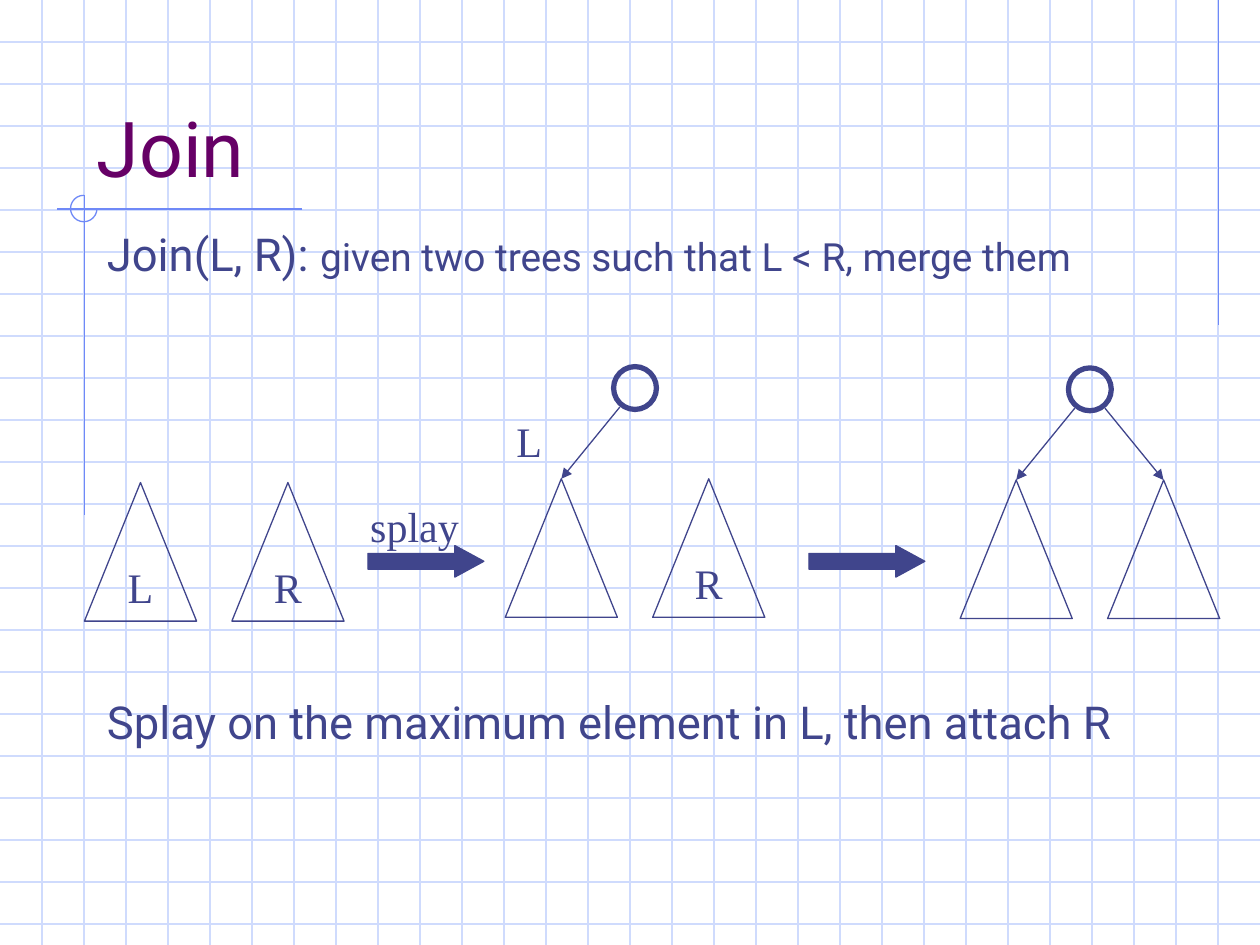
from lxml import etree
from pptx import Presentation
from pptx.dml.color import RGBColor
from pptx.enum.shapes import MSO_CONNECTOR, MSO_SHAPE
from pptx.enum.text import MSO_ANCHOR, PP_ALIGN
from pptx.oxml.ns import qn
from pptx.util import Inches, Pt

STRAIGHT = MSO_CONNECTOR.STRAIGHT
TRIANGLE, OVAL = MSO_SHAPE.ISOSCELES_TRIANGLE, MSO_SHAPE.OVAL
ARROW, ARC = MSO_SHAPE.RIGHT_ARROW, MSO_SHAPE.ARC
TOP, MIDDLE, BOTTOM = MSO_ANCHOR.TOP, MSO_ANCHOR.MIDDLE, MSO_ANCHOR.BOTTOM
CENTER = PP_ALIGN.CENTER

GRID = RGBColor(0xCF, 0xDB, 0xFD)
ACCENT = RGBColor(0x6F, 0x89, 0xF7)
PURPLE = RGBColor(0x66, 0x00, 0x66)
INK = RGBColor(0x40, 0x45, 0x8C)
SANS, SERIF = "Roboto", "Times New Roman"

W, H = 10, 7.5
TREE_W, TREE_H, TREE_STEP = 0.89, 1.1, 1.17
ROOT_D, ROOT_RISE = 0.34, 0.89


def add_line(s, x1, y1, x2, y2, color):
    line = s.shapes.add_connector(STRAIGHT, *map(Inches, (x1, y1, x2, y2)))
    line.line.color.rgb = color
    line.line.width = Pt(0.75)
    etree.SubElement(line._element.spPr, qn("a:effectLst"))
    return line


def add_shape(s, kind, x, y, w, h, color=INK, width=0.75, filled=False):
    sp = s.shapes.add_shape(kind, *map(Inches, (x, y, w, h)))
    sp.shadow.inherit = False
    sp.line.color.rgb = color
    sp.line.width = Pt(width)
    if filled:
        sp.fill.solid()
        sp.fill.fore_color.rgb = color
    else:
        sp.fill.background()
    return sp


def style(r, size, font, color):
    r.font.size, r.font.name, r.font.color.rgb = Pt(size), font, color


def add_label(s, x, y, w, h, text, size=24, font=SERIF, color=INK,
              anchor=TOP):
    tf = s.shapes.add_textbox(*map(Inches, (x, y, w, h))).text_frame
    tf.word_wrap = True
    tf.vertical_anchor = anchor
    tf.text = text
    style(tf.paragraphs[0].runs[0], size, font, color)
    return tf


def background(s):
    # Square grid, three cells to the inch
    for i in range(1, 23):
        add_line(s, 0, i / 3, W, i / 3, GRID)
    for i in range(1, 30):
        add_line(s, i / 3, 0, i / 3, H, GRID)
    # Accent rules and the open circle where they cross
    add_line(s, 9.67, 0, 9.67, 2.58, ACCENT)
    add_line(s, 2.4, 1.66, 0.45, 1.66, ACCENT)
    add_line(s, 0.67, 1.55, 0.67, 4.09, ACCENT)
    arc = add_shape(s, ARC, 0.56, 1.55, 0.21, 0.21, ACCENT)
    arc.adjustments[0] = 0
    arc.adjustments[1] = 162  # 270 degrees


def body(s, x, y, w, h):
    tf = add_label(s, x, y, w, h, "Join(L, R): ", 25.9, SANS)
    p = tf.paragraphs[0]
    p.space_before = Pt(6)
    r = p.add_run()
    r.text = "given two trees such that L < R, merge them"
    style(r, 22.2, SANS, INK)
    p = tf.add_paragraph()
    p.text = "Splay on the maximum element in L, then attach R"
    p.space_before = Pt(236)
    style(p.runs[0], 25.9, SANS, INK)


def tree_pair(s, x, y, labels, joined=()):
    """Two triangles with top left x, y; joined lists those under a root."""
    trees = []
    for i, label in enumerate(labels):
        sp = add_shape(s, TRIANGLE, x + i * TREE_STEP, y, TREE_W, TREE_H)
        trees.append(sp)
        if label:
            tf = sp.text_frame
            tf.word_wrap = False
            tf.vertical_anchor = MIDDLE
            tf.text = label
            tf.paragraphs[0].alignment = CENTER
            style(tf.paragraphs[0].runs[0], 24, SERIF, INK)
    if not joined:
        return
    # Root node and its edges
    mid, top = x + (TREE_W + TREE_STEP) / 2, y - ROOT_RISE
    add_shape(s, OVAL, mid - ROOT_D / 2, top, ROOT_D, ROOT_D, width=3)
    for i in joined:
        start = mid + (0.12 if i else -0.12)
        apex = x + i * TREE_STEP + TREE_W / 2
        edge = add_line(s, start, top + 0.32, apex, y, INK)
        edge.end_connect(trees[i], 0)
        etree.SubElement(edge.line._get_or_add_ln(), qn("a:tailEnd"),
                         type="triangle")


def step_arrow(s, x, y, label=None):
    sp = add_shape(s, ARROW, x, y, 0.92, 0.25, filled=True)
    sp.adjustments[0], sp.adjustments[1] = 0.5, 0.92
    if label:
        add_label(s, x - 0.08, y - 0.41, 1, 0.5, label)


def main():
    prs = Presentation()
    prs.slide_width, prs.slide_height = Inches(W), Inches(H)
    s = prs.slides.add_slide(prs.slide_layouts[6])
    background(s)
    add_label(s, 0.67, 0.33, 8.5, 1.25, "Join", 44, SANS, PURPLE, BOTTOM)
    body(s, 0.75, 1.75, 9.08, 4.5)
    # Separate trees, L splayed, then joined
    tree_pair(s, 0.67, 3.83, ("L", "R"))
    step_arrow(s, 2.92, 4.33, "splay")
    tree_pair(s, 4.01, 3.8, ("", "R"), joined=(0,))
    add_label(s, 4, 3.25, 0.45, 0.5, "L")
    step_arrow(s, 6.42, 4.33)
    tree_pair(s, 7.62, 3.81, ("", ""), joined=(0, 1))
    prs.save("out.pptx")


if __name__ == "__main__":
    main()
